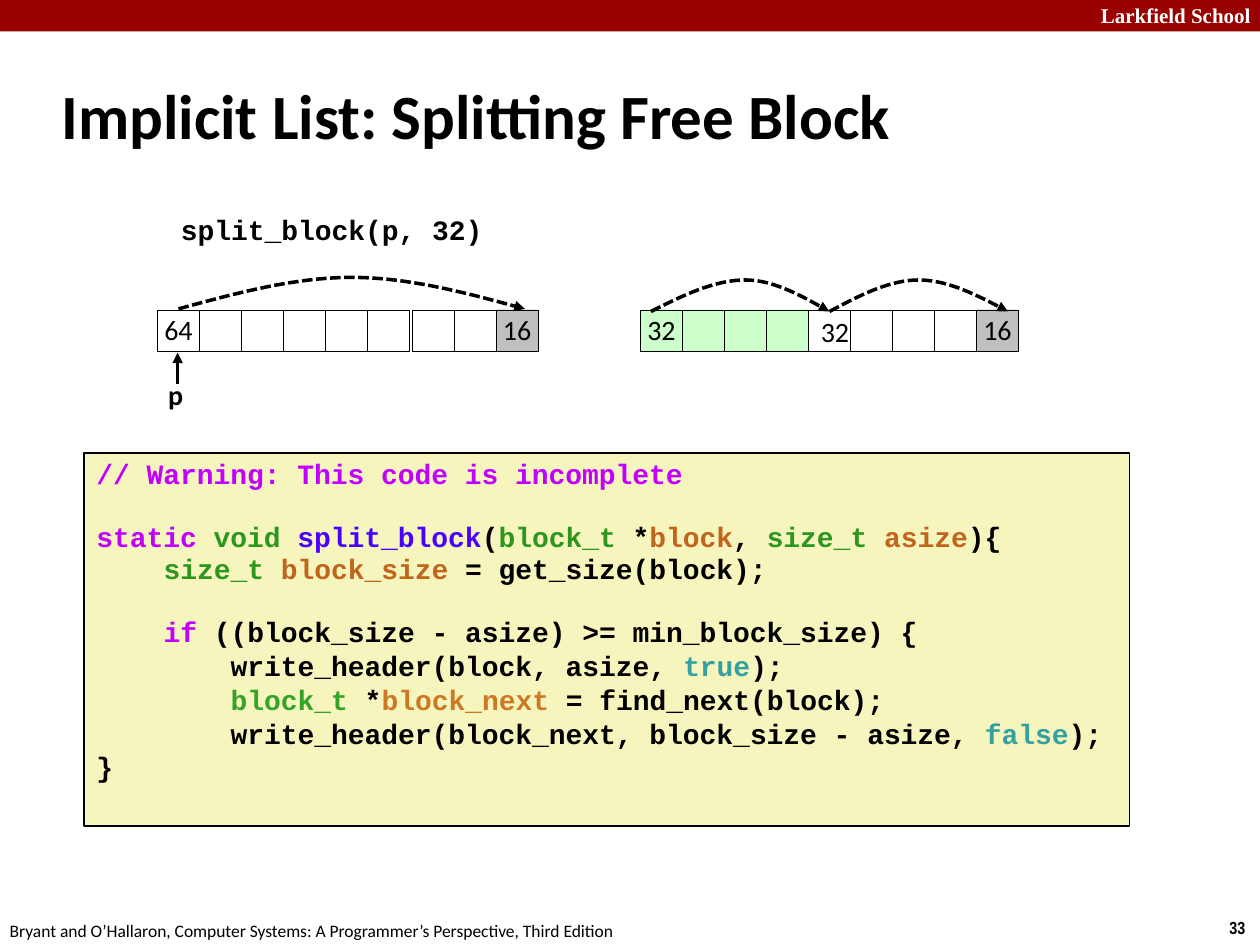
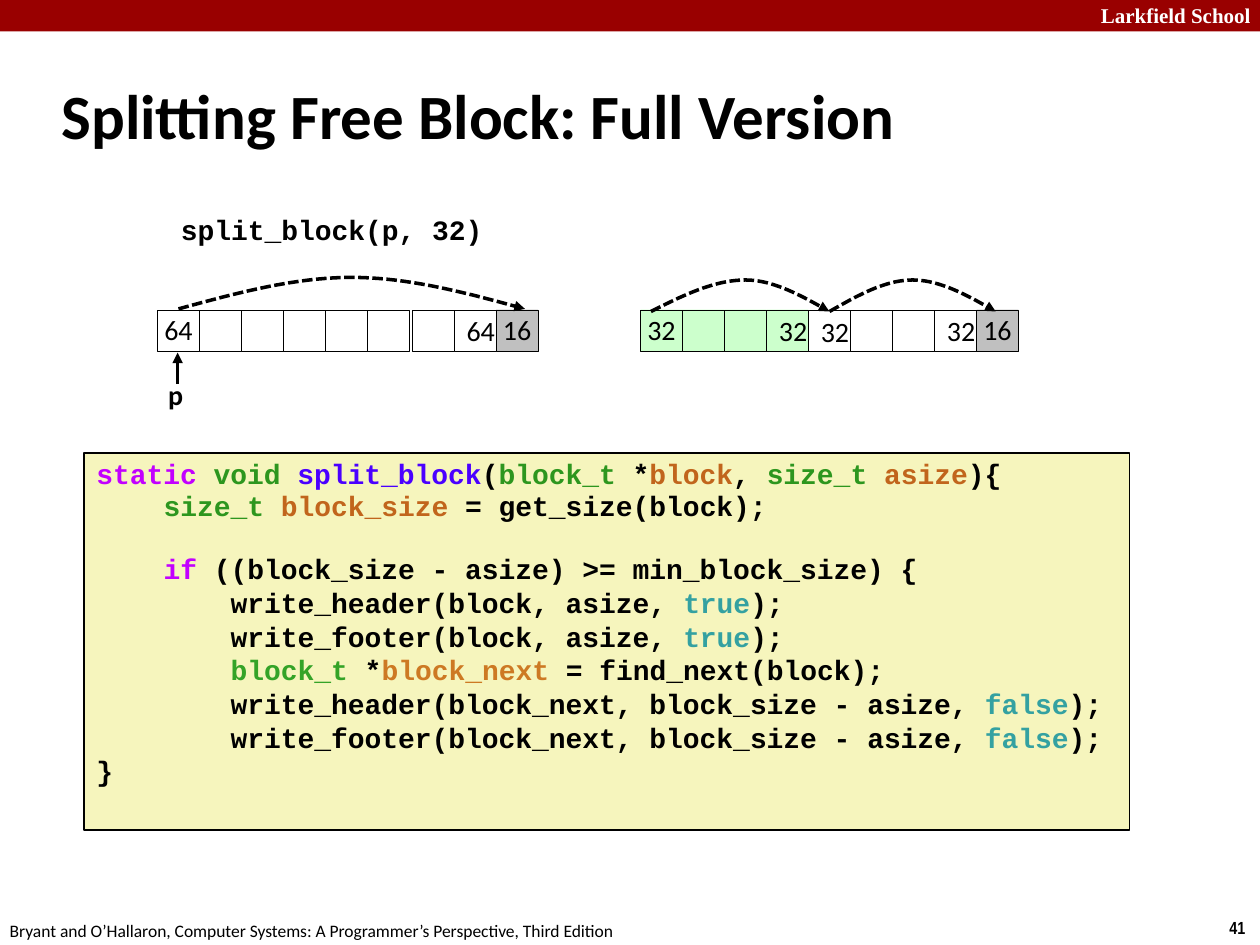
from dataclasses import dataclass

from lxml.etree import SubElement
from pptx import Presentation
from pptx.dml.color import RGBColor
from pptx.enum.dml import MSO_LINE
from pptx.enum.shapes import MSO_CONNECTOR, MSO_SHAPE
from pptx.enum.text import MSO_ANCHOR, MSO_AUTO_SIZE, PP_ALIGN
from pptx.oxml.ns import qn
from pptx.util import Pt


@dataclass(frozen=True)
class Theme:
    black: str = "000000"
    white: str = "FFFFFF"
    band: str = "990000"
    code_fill: str = "F6F5BD"
    used: str = "CCFFCC"
    end: str = "C0C0C0"
    body: str = "Calibri"
    mono: str = "Courier New"
    serif: str = "Times New Roman"
    narrow: str = "Arial Narrow"
    title_size: float = 36
    text_size: float = 16
    band_size: float = 12
    foot_size: float = 10
    thin: float = 0.26
    frame: float = 1
    thick: float = 2


THEME = Theme()
SYNTAX = {
    "plain": THEME.black, "word": "C200FF", "call": "4A00FF",
    "type": "2D961E", "name": "C1651C", "value": "34A1A1",
    "local type": "34A327", "local name": "CD7923",
}

# ---- Content ----
SCHOOL = "Larkfield School"
CREDIT = ("Bryant and O’Hallaron, Computer Systems: "
          "A Programmer’s Perspective, Third Edition")
CALL = "split_block(p, 32)"


# A code line: indent in characters, blank line above, line spacing, spans
def write_line(kind, args, value):
    return (8, False, 1.0, [(f"write_{kind}({args}, ", "plain"),
                            (value, "value"), (");", "plain")])


WARNING = (0, False, 0.94, [("// Warning: This code is incomplete", "word")])
SIGNATURE = [
    ("static ", "word"), ("void ", "type"), ("split_block", "call"),
    ("(", "plain"), ("block_t", "type"), (" *", "plain"), ("block", "name"),
    (", ", "plain"), ("size_t ", "type"), ("asize", "name"), ("){", "plain"),
]
GET_SIZE = (4, False, 0.94, [("size_t ", "type"), ("block_size", "name"),
                             (" = get_size(block);", "plain")])
CHECK = (4, True, 0.94, [
    ("if", "word"), (" ((block_size - asize) >= min_block_size) {", "plain")])
FIND_NEXT = (8, False, 1.0, [
    ("block_t", "local type"), (" *", "plain"), ("block_next", "local name"),
    (" = find_next(block);", "plain")])
CLOSE = (0, False, 1.0, [("}", "plain")])
FIRST, REST = "block, asize", "block_next, block_size - asize"

PAGES = [
    {
        "title": "Implicit List: Splitting Free Block",
        "number": "33",
        "footers": {},
        "last_arc_end": 576,
        "code_height": 213,
        "code": [WARNING, (0, True, 0.94, SIGNATURE), GET_SIZE, CHECK,
                 write_line("header", FIRST, "true"), FIND_NEXT,
                 write_line("header", REST, "false"), CLOSE],
    },
    {
        "title": "Splitting Free Block: Full Version",
        "number": "41",
        "footers": {"before": {7: "64"}, "after": {3: "32", 7: "32"}},
        "last_arc_end": 569,
        "code_height": 215.5,
        "code": [(0, False, 0.94, SIGNATURE), GET_SIZE, CHECK,
                 write_line("header", FIRST, "true"),
                 write_line("footer", FIRST, "true"), FIND_NEXT,
                 write_line("header", REST, "false"),
                 write_line("footer", REST, "false"), CLOSE],
    },
]

# Heap rows: left edge, header, number of used cells, step before cell 6
ROWS = {"before": (90, "64", 0, 1.5), "after": (366, "32", 4, 0)}
CELL, CELL_COUNT, ROW_TOP = 24, 9, 177
CHAR_WIDTH, BLANK_LINE = 9.6, 18.1


# ---- Helpers ----
def rgb(value):
    return RGBColor.from_string(value)


def write(box, text, *, font=THEME.body, size=THEME.text_size,
          color=THEME.black, bold=False, align=PP_ALIGN.LEFT,
          anchor=MSO_ANCHOR.TOP, wrap=False, spacing=None, side=7.2):
    """Put text in a box: a string, or a list of code lines."""
    frame = box.text_frame
    frame.word_wrap = wrap
    frame.auto_size = MSO_AUTO_SIZE.NONE
    frame.vertical_anchor = anchor
    frame.margin_left = frame.margin_right = Pt(side)
    frame.margin_top = frame.margin_bottom = Pt(3.6)
    lines = text
    if isinstance(text, str):
        lines = [(0, False, spacing, [(text, None)])]
    for index, (indent, gap, line_spacing, spans) in enumerate(lines):
        para = frame.add_paragraph() if index else frame.paragraphs[0]
        para.alignment = align
        if line_spacing:
            para.line_spacing = line_spacing
        if gap:
            para.space_before = Pt(BLANK_LINE)
        if indent:
            margin = Pt(indent * CHAR_WIDTH)
            para._p.get_or_add_pPr().set("marL", str(int(margin)))
        for words, role in spans:
            span = para.add_run()
            span.text = words
            span.font.name = font
            span.font.size = Pt(size)
            span.font.bold = bold
            span.font.color.rgb = rgb(SYNTAX[role] if role else color)


def add_text(page, frame, text, **style):
    box = page.shapes.add_textbox(*map(Pt, frame))
    write(box, text, **style)


def add_rect(page, frame, fill, line_width=None):
    box = page.shapes.add_shape(MSO_SHAPE.RECTANGLE, *map(Pt, frame))
    box.shadow.inherit = False
    box.fill.solid()
    box.fill.fore_color.rgb = rgb(fill)
    if line_width:
        box.line.color.rgb = rgb(THEME.black)
        box.line.width = Pt(line_width)
    else:
        box.line.fill.background()
    return box


def style_arrow(line):
    line.color.rgb = rgb(THEME.black)
    line.width = Pt(THEME.thick)
    SubElement(line._get_or_add_ln(), qn("a:tailEnd"), type="triangle")


def add_arc(page, start, end, base, peak=0.5, height=18, steps=20):
    """Draw a dashed bell curve from start to end, ending in an arrowhead."""
    points = []
    for step in range(2 * steps + 1):
        rise = 1 - abs(step / steps - 1)
        share = peak * rise if step <= steps else 1 - (1 - peak) * rise
        drop = (1 - rise) ** 3 + 1.5 * rise * (1 - rise) ** 2
        points.append((Pt(start + share * (end - start)),
                       Pt(base - height * (1 - drop))))
    builder = page.shapes.build_freeform(*points[0])
    builder.add_line_segments(points[1:], close=False)
    arc = builder.convert_to_shape()
    arc.shadow.inherit = False
    arc.fill.background()
    arc.line.dash_style = MSO_LINE.SQUARE_DOT
    style_arrow(arc.line)


# ---- Parts of a page ----
def add_frame(page, title, number):
    add_rect(page, (0, 0, 720, 18), THEME.band)
    add_text(page, (622, -2, 103, 21.6), SCHOOL, font=THEME.serif, wrap=True,
             size=THEME.band_size, color=THEME.white, bold=True)
    add_text(page, (695.5, 520.5, 24.5, 19.5), number, font=THEME.narrow,
             size=THEME.foot_size, bold=True)
    add_text(page, (-1.5, 522, 366, 19.5), CREDIT, size=THEME.foot_size)
    box = page.shapes.title
    box.left, box.top, box.width, box.height = map(Pt, (28, 35.5, 597.5, 60))
    write(box, title, size=THEME.title_size, bold=True, wrap=True,
          anchor=MSO_ANCHOR.MIDDLE)


def add_row(page, left, header, used, step, footers):
    for index in range(CELL_COUNT):
        fill = THEME.used if index < used else THEME.white
        if index == CELL_COUNT - 1:
            fill = THEME.end
        x = left + index * CELL + (step if index >= 6 else 0)
        cell = add_rect(page, (x, ROW_TOP, CELL, CELL), fill, THEME.thin)
        label = {0: header, CELL_COUNT - 1: "16"}.get(index)
        if label:
            write(cell, label, align=PP_ALIGN.CENTER, spacing=0.98,
                  anchor=MSO_ANCHOR.MIDDLE)
        elif index in footers:
            write(cell, footers[index], anchor=MSO_ANCHOR.MIDDLE)


def add_heap(page, footers, last_arc_end):
    add_text(page, (98.5, 121, 182, 24.5), CALL, font=THEME.mono, bold=True,
             align=PP_ALIGN.CENTER, spacing=0.85, side=3.6)
    for name, row in ROWS.items():
        add_row(page, *row, footers.get(name, {}))
    # Header of the second block
    add_text(page, (462, ROW_TOP, 31, 26.5), "32", spacing=0.98, wrap=True)
    add_arc(page, 102, 300, 176.5)
    add_arc(page, 372, 474, 178, peak=0.53)
    add_arc(page, 474, last_arc_end, 178)
    # Pointer p
    pointer = page.shapes.add_connector(
        MSO_CONNECTOR.STRAIGHT, *map(Pt, (101.5, 219.5, 101.5, 201.5)))
    style_arrow(pointer.line)
    SubElement(pointer._element.spPr, qn("a:effectLst"))
    add_text(page, (89, 213, 23, 26.5), "p", bold=True, spacing=0.98)


def add_code(page, lines, height):
    box = add_rect(page, (48, 259, 597.5, height), THEME.code_fill,
                   THEME.frame)
    write(box, lines, font=THEME.mono, bold=True, wrap=True)


# ---- Build ----
deck = Presentation()
deck.slide_width, deck.slide_height = Pt(720), Pt(540)
for content in PAGES:
    page = deck.slides.add_slide(deck.slide_layouts[5])
    add_frame(page, content["title"], content["number"])
    add_heap(page, content["footers"], content["last_arc_end"])
    add_code(page, content["code"], content["code_height"])
deck.save("out.pptx")
